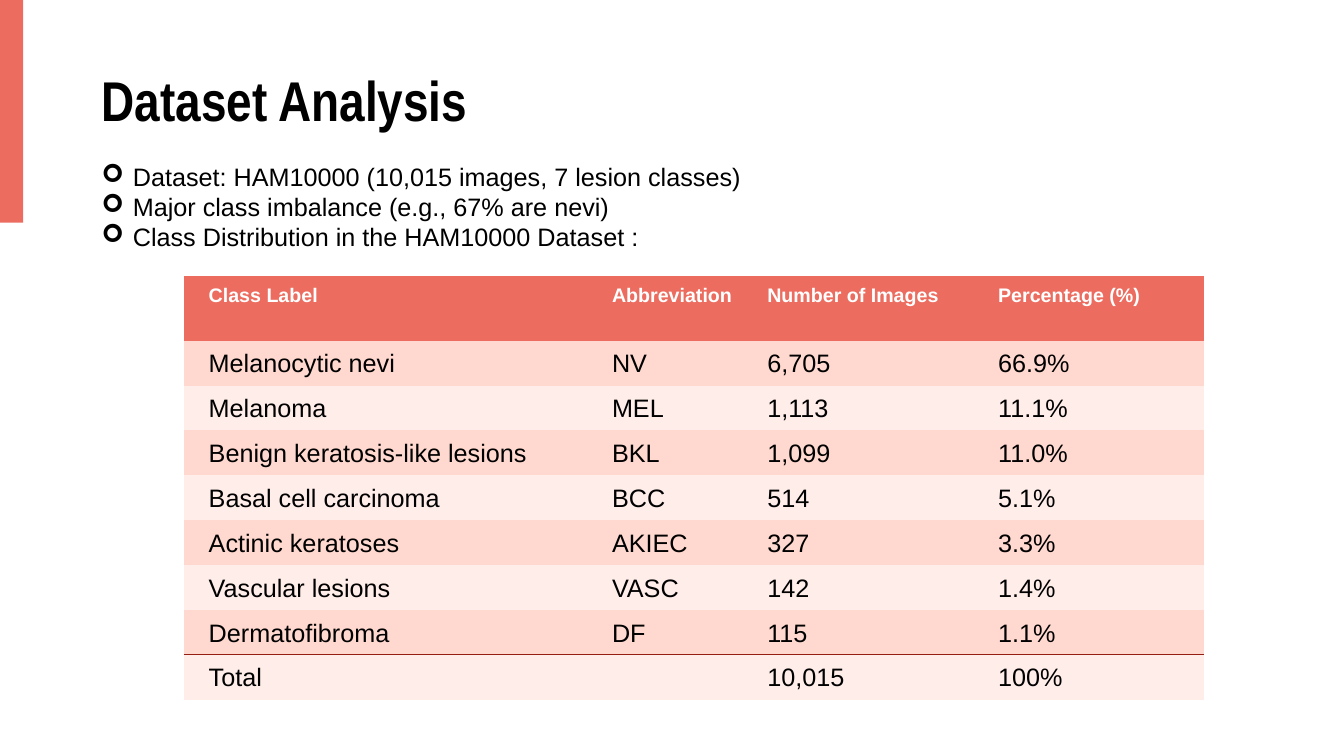
from lxml import etree
from pptx import Presentation
from pptx import util as u
from pptx.dml.color import RGBColor
from pptx.enum import shapes, text
from pptx.oxml import ns

CORAL = RGBColor(0xEC, 0x6D, 0x60)
PINK = RGBColor(0xFF, 0xD9, 0xCF)
PALE = RGBColor(0xFF, 0xED, 0xE9)
MAROON = RGBColor(0x94, 0x1E, 0x12)
BLACK = RGBColor(0, 0, 0)
WHITE = RGBColor(0xFF, 0xFF, 0xFF)
NO_GRID_STYLE = "{2D5ABB26-0587-4C30-8999-92F81FD0307C}"

BULLETS = [
    "Dataset: HAM10000 (10,015 images, 7 lesion classes)",
    "Major class imbalance (e.g., 67% are nevi)",
    "Class Distribution in the HAM10000 Dataset :",
]
CLASS_ROWS = [
    ("Class Label", "Abbreviation", "Number of Images", "Percentage (%)"),
    ("Melanocytic nevi", "NV", "6,705", "66.9%"),
    ("Melanoma", "MEL", "1,113", "11.1%"),
    ("Benign keratosis-like lesions", "BKL", "1,099", "11.0%"),
    ("Basal cell carcinoma", "BCC", "514", "5.1%"),
    ("Actinic keratoses", "AKIEC", "327", "3.3%"),
    ("Vascular lesions", "VASC", "142", "1.4%"),
    ("Dermatofibroma", "DF", "115", "1.1%"),
    ("Total", "", "10,015", "100%"),
]


class SlideBuilder:
    """Holds the text style and the slide being filled."""

    body_font = "Arial"
    title_font = "Arial Narrow"
    body_size = 18

    def __init__(self, slide):
        self.slide = slide

    def style(self, para, size=body_size, color=BLACK, bold=False, font=body_font):
        for span in para.runs:
            span.font.name = font
            span.font.size = u.Pt(size)
            span.font.bold = bold
            span.font.color.rgb = color

    def bar(self, left, top, width, height, color):
        bar = self.slide.shapes.add_shape(
            shapes.MSO_SHAPE.RECTANGLE, *map(u.Inches, (left, top, width, height)))
        bar.shadow.inherit = False
        bar.fill.solid()
        bar.fill.fore_color.rgb = color
        bar.line.fill.background()

    def text_box(self, left, top, width, height, content):
        box = self.slide.shapes.add_textbox(
            *map(u.Inches, (left, top, width, height)))
        box.text_frame.word_wrap = True
        box.text_frame.text = content
        return box.text_frame

    def title(self, left, top, width, height, content):
        frame = self.text_box(left, top, width, height, content)
        frame.vertical_anchor = text.MSO_ANCHOR.BOTTOM
        para = frame.paragraphs[0]
        para.line_spacing = 1.3
        self.style(para, 40, bold=True, font=self.title_font)

    def bullets(self, left, top, width, height, items):
        frame = self.text_box(left, top, width, height, "\n".join(items))
        indent = u.Inches(0.31)
        for para in frame.paragraphs:
            props = para._p.get_or_add_pPr()
            props.set("marL", str(indent))
            props.set("indent", str(-indent))
            etree.SubElement(props, ns.qn("a:buFont"), typeface="Wingdings")
            etree.SubElement(props, ns.qn("a:buChar"), char="➢")
            self.style(para)

    def border(self, cell, side, color):
        line = etree.Element(ns.qn("a:" + side), w=str(u.Pt(1)))
        fill = etree.SubElement(line, ns.qn("a:solidFill"))
        etree.SubElement(fill, ns.qn("a:srgbClr"), val=str(color))
        cell._tc.get_or_add_tcPr().insert(0, line)

    def cell(self, cell, content, fill, **style):
        cell.fill.solid()
        cell.fill.fore_color.rgb = fill
        cell.margin_left = cell.margin_right = u.Inches(0.05)
        cell.margin_top = cell.margin_bottom = u.Inches(0.05)
        cell.text_frame.text = content
        para = cell.text_frame.paragraphs[0]
        para.line_spacing = 1.15
        para._p.get_or_add_pPr().set("marL", str(u.Inches(0.2)))
        self.style(para, **style)

    def table(self, left, top, widths, header_height, row_height, rows):
        height = header_height + row_height * (len(rows) - 1)
        frame = self.slide.shapes.add_table(
            len(rows), len(widths),
            *map(u.Inches, (left, top, sum(widths), height)))
        table = frame.table
        table.first_row = table.horz_banding = False
        table._tbl.tblPr.find(ns.qn("a:tableStyleId")).text = NO_GRID_STYLE
        for column, width in zip(table.columns, widths):
            column.width = u.Inches(width)
        for r, row in enumerate(rows):
            table.rows[r].height = u.Inches(row_height if r else header_height)
            for c, content in enumerate(row):
                cell = table.cell(r, c)
                if r == 0:
                    self.cell(cell, content, CORAL, size=14, color=WHITE, bold=True)
                else:
                    self.cell(cell, content, PINK if r % 2 else PALE)
                # Rule above the total row
                if r == len(rows) - 2:
                    self.border(cell, "lnB", MAROON)
                elif r == len(rows) - 1:
                    self.border(cell, "lnT", MAROON)


def main():
    deck = Presentation()
    deck.slide_width, deck.slide_height = u.Inches(13.33), u.Inches(7.5)
    page = SlideBuilder(deck.slides.add_slide(deck.slide_layouts[6]))

    # Accent and heading
    page.bar(0, 0, 0.23, 2.21, CORAL)
    page.title(0.91, 0.35, 8.66, 1.02, "Dataset Analysis")

    # Key facts and class distribution
    page.bullets(0.91, 1.55, 7.63, 1.01, BULLETS)
    page.table(1.82, 2.74, (4, 1.54, 2.29, 2.29), 0.64, 0.44, CLASS_ROWS)

    deck.save("out.pptx")


if __name__ == "__main__":
    main()
